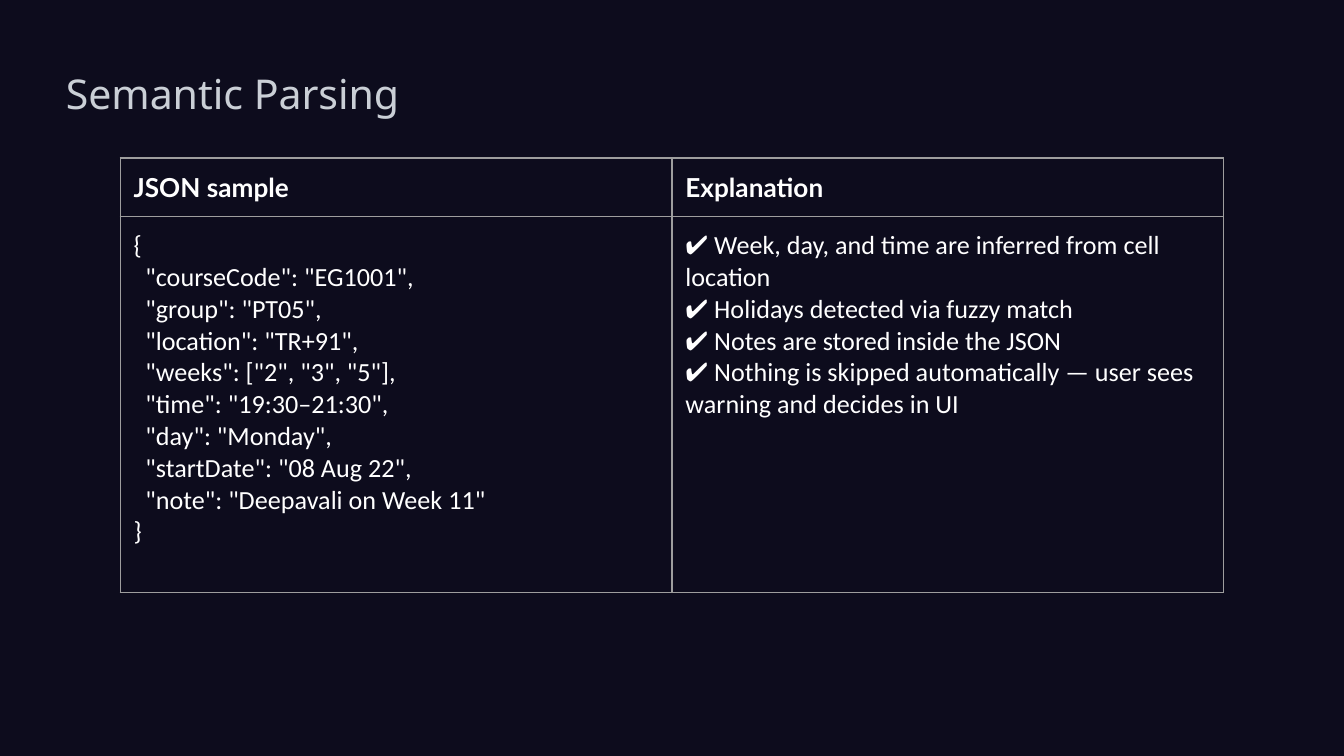
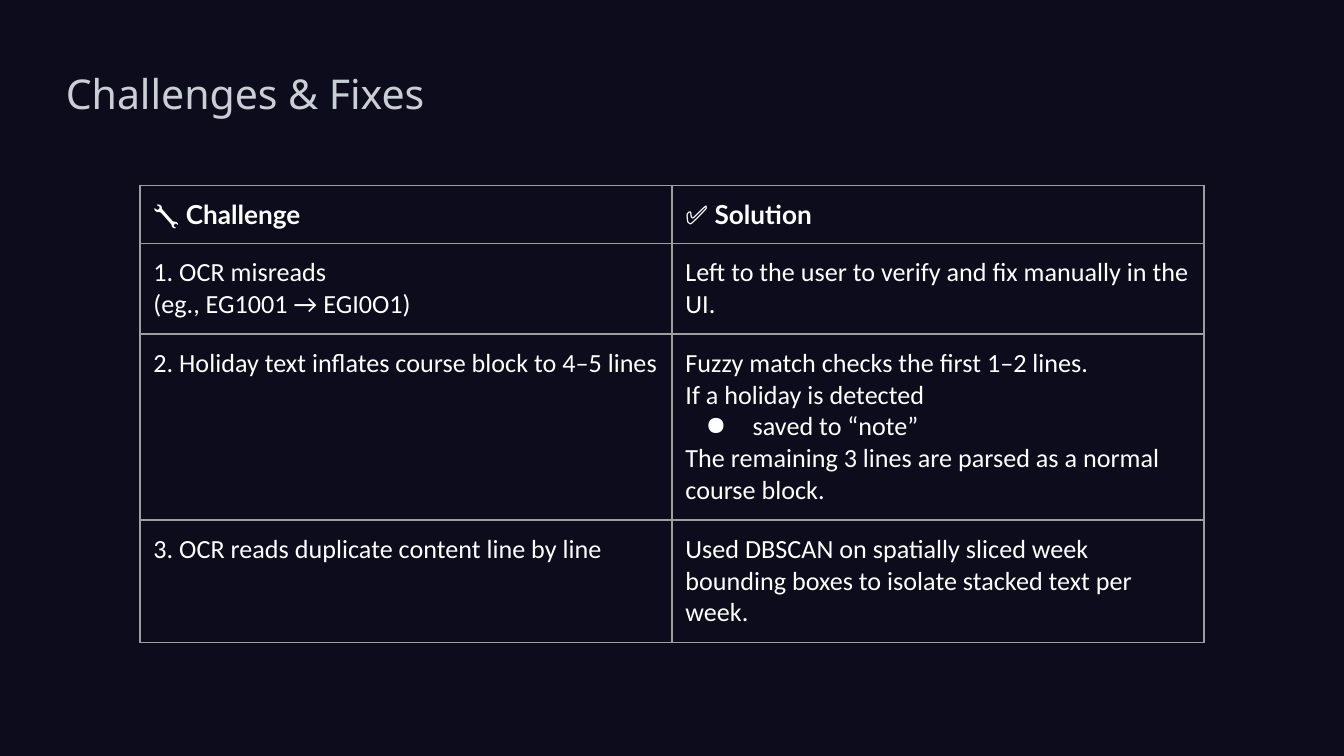
from dataclasses import dataclass

from lxml.etree import SubElement
from pptx import Presentation
from pptx.dml.color import RGBColor
from pptx.enum.text import MSO_ANCHOR
from pptx.oxml.ns import qn
from pptx.util import Pt


@dataclass(frozen=True)
class Theme:
    background: str = "0D0C1D"
    title_color: str = "CACFD6"
    text_color: str = "FFFFFF"
    border_color: str = "9E9E9E"
    title_font: str = "Noto Sans"
    header_font: str = "Lato"
    body_font: str = "Calibri"
    title_size: float = 22
    table_size: float = 14
    border_width: float = 0.75
    cell_margin: float = 7.2


@dataclass(frozen=True)
class Line:
    """A paragraph: margin is its left edge, hanging the room for its bullet."""
    text: str
    margin: float = 0
    hanging: float = 0
    bullet: str = ""


class Deck:
    def __init__(self, theme):
        self.theme = theme
        self.presentation = Presentation()
        self.presentation.slide_width = Pt(720)
        self.presentation.slide_height = Pt(405)
        self.slide = None
        self.title_format = {"name": theme.title_font, "size": Pt(theme.title_size),
                             "bold": False}
        self.header_format = {"name": theme.header_font, "size": Pt(theme.table_size),
                              "bold": True}
        self.body_format = {**self.header_format, "name": theme.body_font, "bold": False}

    def add_slide(self, title):
        self.slide = self.presentation.slides.add_slide(self.presentation.slide_layouts[6])
        fill = self.slide.background.fill
        fill.solid()
        fill.fore_color.rgb = RGBColor.from_string(self.theme.background)
        self.add_title(title)

    def add_title(self, title):
        shape = self.slide.shapes.add_textbox(Pt(31.7), Pt(27.4), Pt(602.6), Pt(44.6))
        frame_format = {"word_wrap": True, "vertical_anchor": MSO_ANCHOR.MIDDLE,
                        "margin_left": Pt(3.6), "margin_right": Pt(3.6),
                        "margin_top": Pt(1.4), "margin_bottom": Pt(1.4)}
        for name, value in frame_format.items():
            setattr(shape.text_frame, name, value)
        self.add_lines(shape.text_frame, [title], self.title_format, self.theme.title_color)

    def add_lines(self, text_frame, lines, font_format, color):
        for index, line in enumerate(lines):
            if isinstance(line, str):
                line = Line(line)
            paragraph = text_frame.paragraphs[0] if index == 0 else text_frame.add_paragraph()
            run = paragraph.add_run()
            run.text = line.text
            for name, value in font_format.items():
                setattr(run.font, name, value)
            run.font.color.rgb = RGBColor.from_string(color)
            if line.margin:
                self.indent(paragraph, line)

    def indent(self, paragraph, line):
        properties = paragraph._p.get_or_add_pPr()
        properties.set("marL", str(Pt(line.margin)))
        properties.set("indent", str(-Pt(line.hanging)))
        if line.bullet:
            color = SubElement(properties, qn("a:buClr"))
            SubElement(color, qn("a:srgbClr"), val=self.theme.text_color)
            SubElement(properties, qn("a:buChar"), char=line.bullet)

    def add_table(self, left, top, column_width, row_heights, rows):
        """Draw rows of cells, each cell a list of lines; the first row is the header."""
        columns = len(rows[0])
        table = self.slide.shapes.add_table(
            len(rows), columns, Pt(left), Pt(top),
            Pt(column_width * columns), Pt(sum(row_heights))).table
        table.first_row = table.horz_banding = False
        for column in table.columns:
            column.width = Pt(column_width)
        for row_index, (height, row) in enumerate(zip(row_heights, rows)):
            table.rows[row_index].height = Pt(height)
            font_format = self.body_format if row_index else self.header_format
            for column_index, lines in enumerate(row):
                cell = table.cell(row_index, column_index)
                self.style_cell(cell)
                self.add_lines(cell.text_frame, lines, font_format, self.theme.text_color)

    def style_cell(self, cell):
        for side in ("left", "right", "top", "bottom"):
            setattr(cell, f"margin_{side}", Pt(self.theme.cell_margin))
        cell.vertical_anchor = MSO_ANCHOR.TOP
        properties = cell._tc.get_or_add_tcPr()
        for tag in ("a:lnL", "a:lnR", "a:lnT", "a:lnB"):
            border = SubElement(properties, qn(tag), w=str(Pt(self.theme.border_width)))
            fill = SubElement(border, qn("a:solidFill"))
            SubElement(fill, qn("a:srgbClr"), val=self.theme.border_color)
        cell.fill.background()


def add_semantic_parsing(deck):
    fields = ['"courseCode": "EG1001",', '"group": "PT05",', '"location": "TR+91",',
              '"weeks": ["2", "3", "5"],', '"time": "19:30–21:30",', '"day": "Monday",',
              '"startDate": "08 Aug 22",', '"note": "Deepavali on Week 11"']
    json_sample = ["{", *(Line(field, margin=6.3) for field in fields), "}"]
    explanation = ["✔️ Week, day, and time are inferred from cell location",
                   "✔️ Holidays detected via fuzzy match",
                   "✔️ Notes are stored inside the JSON",
                   "✔️ Nothing is skipped automatically — user sees warning and decides in UI"]
    deck.add_slide("Semantic Parsing")
    deck.add_table(64.4, 84.6, 295.6, [31.3, 201.5],
                   [[["JSON sample"], ["Explanation"]], [json_sample, explanation]])


def add_challenges(deck):
    rows = [
        [["🔧 Challenge"], ["✅ Solution"]],
        [["1. OCR misreads", "(eg., EG1001 → EGI0O1)"],
         ["Left to the user to verify and fix manually in the UI."]],
        [["2. Holiday text inflates course block to 4–5 lines"],
         ["Fuzzy match checks the first 1–2 lines.",
          "If a holiday is detected",
          Line("saved to “note”", margin=36, hanging=25.2, bullet="●"),
          "The remaining 3 lines are parsed as a normal course block."]],
        [["3. OCR reads duplicate content line by line"],
         ["Used DBSCAN on spatially sliced week bounding boxes to isolate "
          "stacked text per week."]],
    ]
    deck.add_slide("Challenges & Fixes")
    deck.add_table(75, 99.2, 285, [31.3, 48.5, 99.6, 65.5], rows)


def main():
    deck = Deck(Theme())
    add_semantic_parsing(deck)
    add_challenges(deck)
    deck.presentation.save("out.pptx")


if __name__ == "__main__":
    main()
